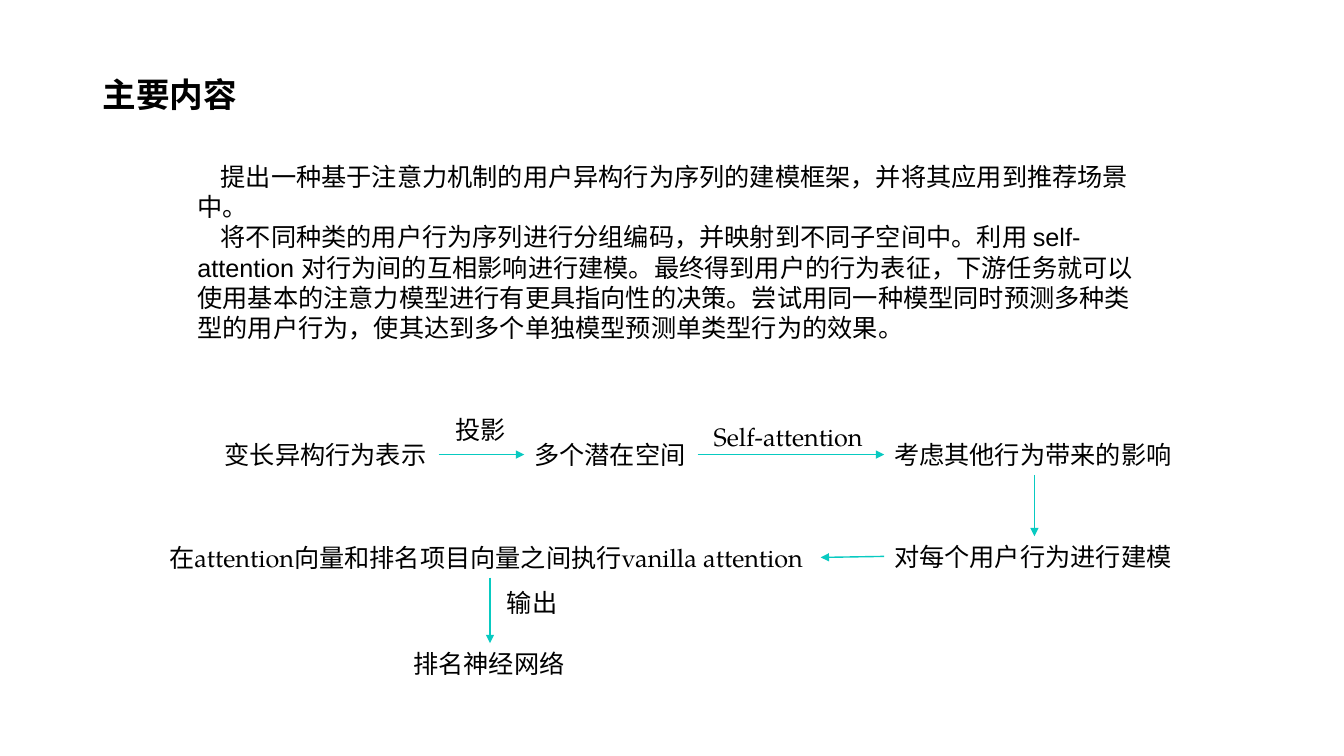
from lxml import etree
from pptx import Presentation
from pptx.dml.color import RGBColor
from pptx.enum.shapes import MSO_CONNECTOR
from pptx.enum.text import MSO_AUTO_SIZE
from pptx.oxml.ns import qn
from pptx.util import Inches, Pt

COLORS = {"text": "000000", "arrow": "08CAC1"}
SERIF = "TeX Gyre Pagella"
TITLE_FORMAT = {"name": SERIF, "size": Pt(24), "bold": True}
BODY_FORMAT = {"name": "Arial", "size": Pt(18)}
FLOW_FORMAT = {"name": SERIF, "size": Pt(18)}
TOP, LEFT, BOTTOM, RIGHT = range(4)
LINE_HEIGHT = 0.4

BODY = [
    "提出一种基于注意力机制的用户异构行为序列的建模框架，并将其应用到推荐场景中。",
    "将不同种类的用户行为序列进行分组编码，并映射到不同子空间中。"
    "利用 self-attention 对行为间的互相影响进行建模。"
    "最终得到用户的行为表征，下游任务就可以使用基本的注意力模型进行有更具指向性的决策。"
    "尝试用同一种模型同时预测多种类型的用户行为，使其达到多个单独模型预测单类型行为的效果。",
]

# Flow steps: name, text, left, top, width, wrap
STEPS = [
    ("behaviours", "变长异构行为表示", 2.13, 4.31, 2.22, False),
    ("spaces", "多个潜在空间", 5.2, 4.31, 1.72, False),
    ("influence", "考虑其他行为带来的影响", 8.77, 4.31, 2.98, False),
    ("modelling", "对每个用户行为进行建模", 8.77, 5.32, 2.98, False),
    ("vanilla", "在attention向量和排名项目向量之间执行vanilla attention",
     1.58, 5.33, 6.56, True),
    ("ranking", "排名神经网络", 4, 6.38, 1.72, False),
]

# Arrow labels: text, left, top, width
LABELS = [
    ("投影", 4.42, 4.06, 0.71),
    ("Self-attention", 6.98, 4.13, 1.7),
    ("输出", 4.93, 5.78, 0.71),
]

# Arrows: start step, start side, end step, end side
ARROWS = [
    ("behaviours", RIGHT, "spaces", LEFT),
    ("spaces", RIGHT, "influence", LEFT),
    ("influence", BOTTOM, "modelling", TOP),
    ("modelling", LEFT, "vanilla", RIGHT),
    ("vanilla", BOTTOM, "ranking", TOP),
]


def add_text(slide, paragraphs, left, top, width, height, text_format,
             wrap=False, indent=0):
    box = slide.shapes.add_textbox(
        Inches(left), Inches(top), Inches(width), Inches(height))
    frame = box.text_frame
    frame.word_wrap = wrap
    frame.auto_size = MSO_AUTO_SIZE.NONE
    frame.text = "\n".join(paragraphs)
    for paragraph in frame.paragraphs:
        if indent:
            paragraph._p.get_or_add_pPr().set("indent", str(Inches(indent)))
        font = paragraph.runs[0].font
        for attribute, value in text_format.items():
            setattr(font, attribute, value)
        font.color.rgb = RGBColor.from_string(COLORS["text"])
    return box


def add_arrow(slide, start, start_side, end, end_side):
    arrow = slide.shapes.add_connector(MSO_CONNECTOR.STRAIGHT, 0, 0, 0, 0)
    arrow.begin_connect(start, start_side)
    arrow.end_connect(end, end_side)
    arrow.line.width = Pt(1)
    arrow.line.color.rgb = RGBColor.from_string(COLORS["arrow"])
    # Arrowhead and empty effect list
    line = arrow.line._get_or_add_ln()
    etree.SubElement(line, qn("a:tailEnd"), type="triangle")
    etree.SubElement(arrow._element.spPr, qn("a:effectLst"))


def main():
    presentation = Presentation()
    presentation.slide_width = Inches(13.33)
    presentation.slide_height = Inches(7.5)
    slide = presentation.slides.add_slide(presentation.slide_layouts[6])

    # Title and summary
    add_text(slide, ["主要内容"], 0.92, 0.68, 1.55, 0.5, TITLE_FORMAT)
    add_text(slide, BODY, 1.86, 1.55, 9.61, 1.92, BODY_FORMAT,
             wrap=True, indent=0.23)

    # Flow chart
    steps = {}
    for name, text, left, top, width, wrap in STEPS:
        steps[name] = add_text(slide, [text], left, top, width, LINE_HEIGHT,
                               FLOW_FORMAT, wrap)
    for text, left, top, width in LABELS:
        add_text(slide, [text], left, top, width, LINE_HEIGHT, FLOW_FORMAT)
    for start, start_side, end, end_side in ARROWS:
        add_arrow(slide, steps[start], start_side, steps[end], end_side)

    presentation.save("out.pptx")


if __name__ == "__main__":
    main()
